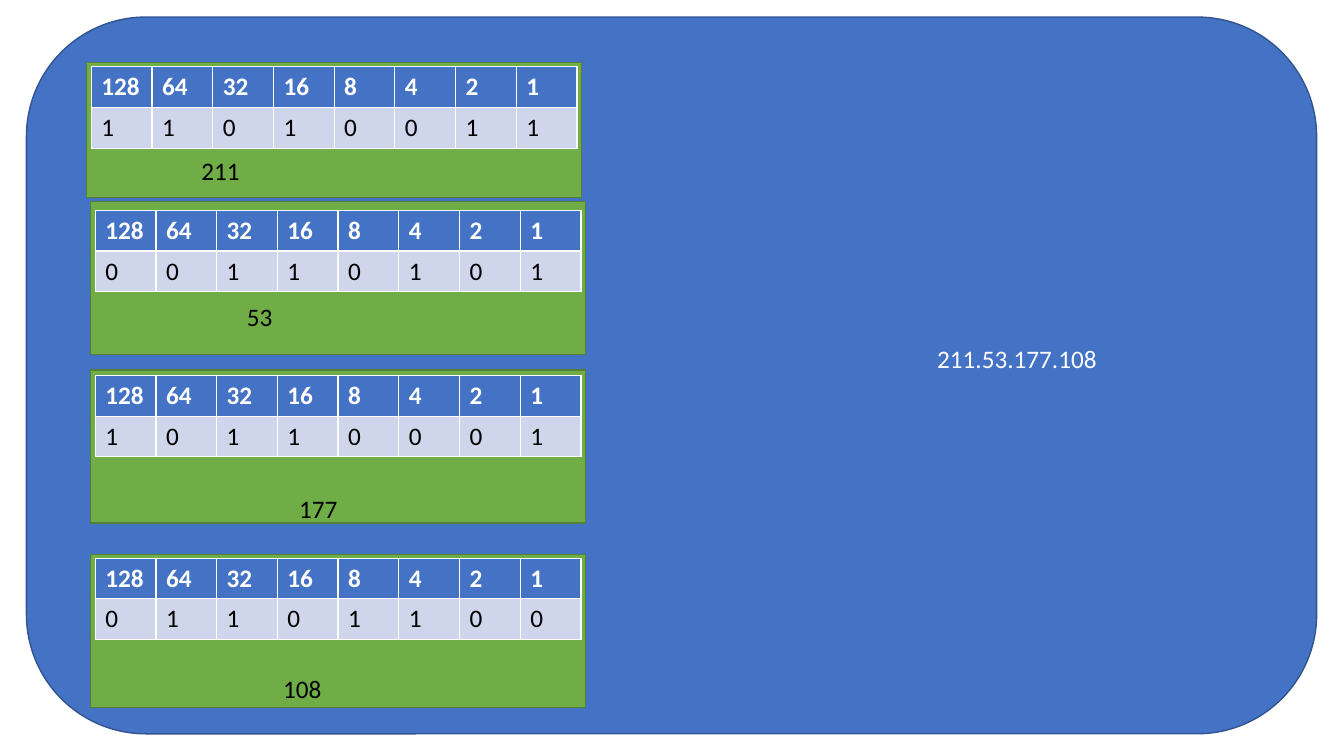
from pptx import Presentation
from pptx.dml.color import RGBColor as RGB
from pptx.enum.shapes import MSO_SHAPE as Shape
from pptx.util import Pt

BLUE = RGB(0x44, 0x72, 0xC4)
NAVY = RGB(0x32, 0x54, 0x91)
GREEN = RGB(0x70, 0xAD, 0x47)
MOSS = RGB(0x53, 0x80, 0x35)
PALE = RGB(0xCF, 0xD5, 0xEA)
WHITE = RGB(0xFF, 0xFF, 0xFF)
BLACK = RGB(0x00, 0x00, 0x00)

BITS = 8
COL, ROW = 43.38, 28.8
INSET = 3.2

# Octet, frame box, table drop, offset and width of the sum label
OCTETS = [
    (211, (62, 44.6, 353.5, 96.5), 2.9, (74.8, 62.7), 101.5),
    (53, (64.8, 144, 353.5, 109.4), 6.5, (104.4, 67.7), 51),
    (177, (64.8, 264.2, 353.5, 109.4), 4.3, (141.8, 84.3), 42.5),
    (108, (64.8, 396, 353.5, 109.4), 2.9, (130.3, 81.4), 42.5),
]


def style(frame, color, bold=False):
    for run in frame.paragraphs[0].runs:
        font = run.font
        font.name, font.size, font.bold = "Calibri", Pt(18), bold
        font.color.rgb = color


def panel(slide, kind, box, fill, edge):
    shape = slide.shapes.add_shape(kind, *map(Pt, box))
    shape.shadow.inherit = False
    shape.fill.solid()
    shape.fill.fore_color.rgb = fill
    shape.line.color.rgb = edge
    shape.line.width = Pt(1)


def label(slide, text, left, top, width, color):
    box = slide.shapes.add_textbox(Pt(left), Pt(top), Pt(width), Pt(29))
    frame = box.text_frame
    frame.word_wrap = True
    frame.text = text
    style(frame, color)


def grid(slide, value, left, top):
    table = slide.shapes.add_table(
        2, BITS, Pt(left), Pt(top), Pt(COL * BITS), Pt(ROW * 2)).table
    for row in table.rows:
        row.height = Pt(ROW)
    for i, bit in enumerate(f"{value:0{BITS}b}"):
        table.columns[i].width = Pt(COL)
        weight = 2 ** (BITS - 1 - i)
        # Place value on top, binary digit below
        for r, (text, fill, color) in enumerate(
                [(str(weight), BLUE, WHITE), (bit, PALE, BLACK)]):
            cell = table.cell(r, i)
            cell.fill.solid()
            cell.fill.fore_color.rgb = fill
            cell.text_frame.text = text
            style(cell.text_frame, color, bold=r == 0)


def octet(slide, value, box, drop, shift, width):
    left, top = box[:2]
    panel(slide, Shape.RECTANGLE, box, GREEN, MOSS)
    grid(slide, value, left + INSET, top + drop)
    label(slide, str(value), left + shift[0], top + shift[1], width, BLACK)


def main():
    deck = Presentation()
    deck.slide_width, deck.slide_height = Pt(960), Pt(540)
    slide = deck.slides.add_slide(deck.slide_layouts[6])

    # Backdrop
    panel(slide, Shape.ROUNDED_RECTANGLE, (18.9, 12.2, 921.6, 512), BLUE, NAVY)

    # Binary octets
    for item in OCTETS:
        octet(slide, *item)

    # Dotted address
    address = ".".join(str(item[0]) for item in OCTETS)
    label(slide, address, 662.4, 241.4, 147, WHITE)

    deck.save("out.pptx")


if __name__ == "__main__":
    main()
